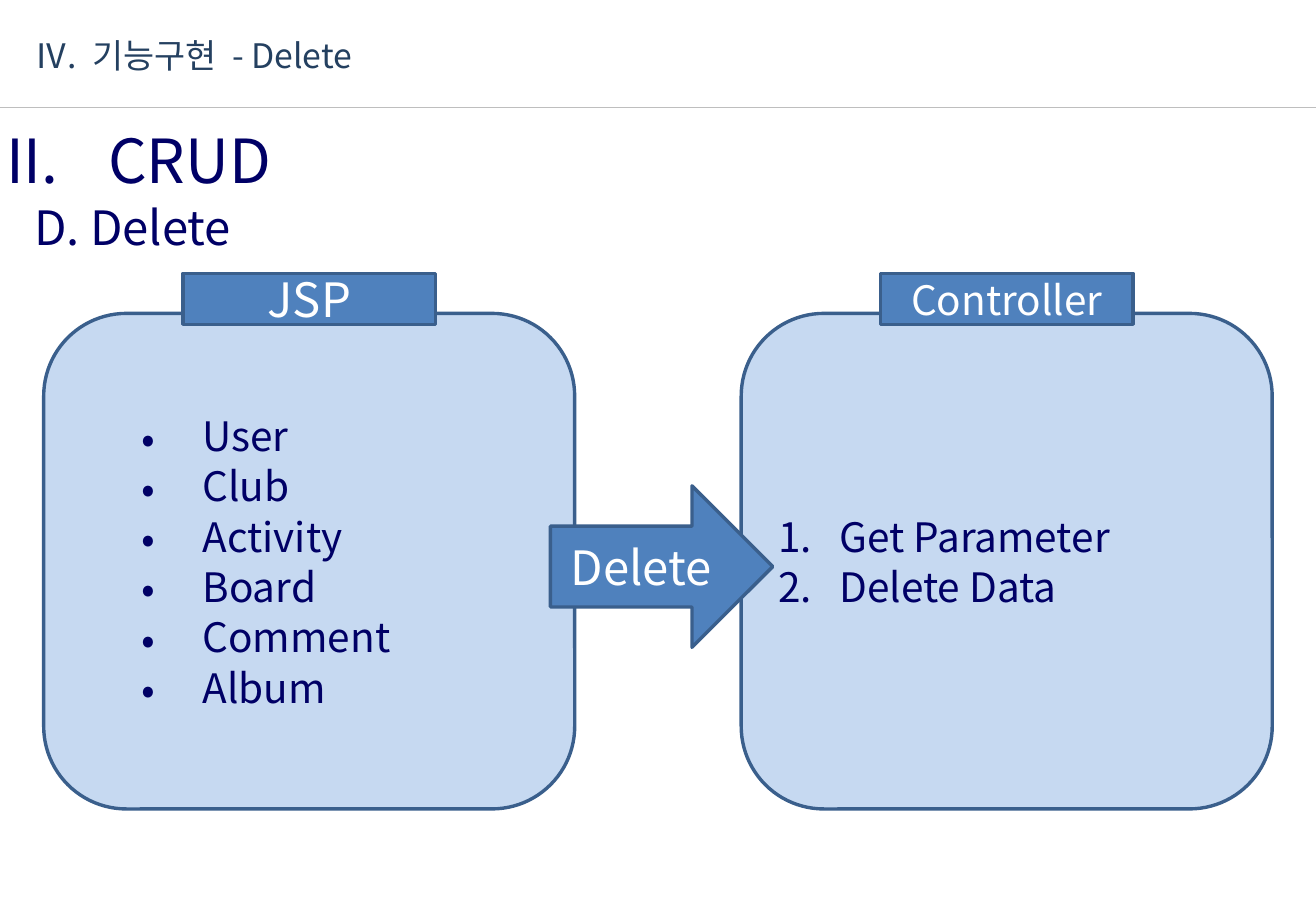
import pptx
import pptx.util
import pptx.dml.color
import pptx.enum.shapes
import pptx.enum.text
import pptx.oxml.ns
from lxml import etree

# Content
TITLE = ("Ⅳ.", " ", "기능구현", " ", "- Delete")
HEADING = "II. \tCRUD"
SUBHEADING = "D. Delete"
ARROW = "Delete"
PANELS = [
    {"label": "JSP", "label_size": 28, "indent": 1.01, "bullet": ("buChar", "char", "•"),
     "items": ["User", "Club", "Activity", "Board", "Comment", "Album"]},
    {"label": "Controller", "label_size": 24, "indent": 0.51,
     "bullet": ("buAutoNum", "type", "arabicPeriod"),
     "items": ["Get Parameter", "Delete Data"]},
]

# Style and grid, in inches
FONT = "Noto Sans CJK KR"
COLORS = {"navy": "000066", "title": "244060", "panel": "C6D9F1", "accent": "4F81BD",
          "edge": "3A5F8C", "rule": "BEBEBE", "white": "FFFFFF"}
WIDTH, HEIGHT = 10.83, 7.5
MARGIN, PANEL_TOP, PANEL_WIDTH, PANEL_HEIGHT = 0.36, 2.58, 4.37, 4.08
PANEL_STEP = WIDTH - 2 * MARGIN - PANEL_WIDTH
LABEL_TOP, LABEL_WIDTH, LABEL_HEIGHT = 2.25, 2.08, 0.42
ARROW_WIDTH, ARROW_HEIGHT = 1.83, 1.33
HANGING, TAB_STOP = 0.5, 0.84

SHAPES = pptx.enum.shapes.MSO_SHAPE
ALIGN = pptx.enum.text.PP_ALIGN
ANCHOR = pptx.enum.text.MSO_ANCHOR
Inches, Pt = pptx.util.Inches, pptx.util.Pt


def color(name):
    return pptx.dml.color.RGBColor.from_string(COLORS[name])


def add_xml(parent, tag, **attributes):
    return etree.SubElement(parent, pptx.oxml.ns.qn("a:" + tag), attributes)


def style(para, size, color_name, align=ALIGN.LEFT):
    para.alignment = align
    para.font.size = Pt(size)
    para.font.name = FONT
    para.font.color.rgb = color(color_name)
    add_xml(para.font._element, "ea", typeface=FONT)


def add_tab(para):
    tabs = add_xml(para._p.get_or_add_pPr(), "tabLst")
    add_xml(tabs, "tab", pos=str(Inches(TAB_STOP)), algn="l")


def set_frame(frame):
    frame.margin_left = frame.margin_right = frame.margin_bottom = 0
    frame.margin_top = Inches(0.01)
    frame.word_wrap = True
    frame.vertical_anchor = ANCHOR.TOP
    frame.auto_size = pptx.enum.text.MSO_AUTO_SIZE.NONE


def add_heading(page, text, size, left, top, width, height):
    box = page.shapes.add_textbox(*map(Inches, (left, top, width, height)))
    set_frame(box.text_frame)
    para = box.text_frame.paragraphs[0]
    para.text = text
    para.space_before = Pt(1)
    add_tab(para)
    style(para, size, "navy")


def add_block(page, kind, fill, left, top, width, height):
    block = page.shapes.add_shape(kind, *map(Inches, (left, top, width, height)))
    block.shadow.inherit = False
    block.fill.solid()
    block.fill.fore_color.rgb = color(fill)
    block.line.color.rgb = color("edge")
    block.line.width = Pt(2)
    block.text_frame.vertical_anchor = ANCHOR.MIDDLE
    return block


def add_caption(block, text, size):
    para = block.text_frame.paragraphs[0]
    para.text = text
    style(para, size, "white", ALIGN.CENTER)


def add_list(block, panel):
    frame = block.text_frame
    tag, key, value = panel["bullet"]
    for index, item in enumerate(panel["items"]):
        para = frame.add_paragraph() if index else frame.paragraphs[0]
        para.text = item
        para.space_before = Pt(1)
        props = para._p.get_or_add_pPr()
        props.set("marL", str(Inches(panel["indent"])))
        props.set("indent", str(-Inches(HANGING)))
        add_xml(props, "buFont", typeface=FONT)
        add_xml(props, tag, **{key: value})
        add_tab(para)
        style(para, 24, "navy")


def main():
    deck = pptx.Presentation()
    deck.slide_width, deck.slide_height = Inches(WIDTH), Inches(HEIGHT)
    page = deck.slides.add_slide(deck.slide_layouts.get_by_name("Title Only"))

    # Title with widened gaps, and the rule below it
    title = page.shapes.title
    title.left, title.top, title.width, title.height = map(Inches, (0.28, 0.28, 3.47, 0.35))
    set_frame(title.text_frame)
    para = title.text_frame.paragraphs[0]
    for part in TITLE:
        span = para.add_run()
        span.text = part
        if part == " ":
            span._r.get_or_add_rPr().set("spc", "450")
    para.space_before = Pt(1)
    style(para, 20, "title")
    rule = page.shapes.add_connector(pptx.enum.shapes.MSO_CONNECTOR.STRAIGHT,
                                     *map(Inches, (0, 0.88, WIDTH, 0.88)))
    rule.line.color.rgb = color("rule")
    rule.line.width = Pt(0.25)
    add_xml(rule._element.spPr, "effectLst")

    # Headings
    add_heading(page, HEADING, 36, 0.05, 1, PANEL_WIDTH, 0.62)
    add_heading(page, SUBHEADING, 28, 0.28, 1.62, 9.68, 0.5)

    # Panels, each with its label on the top edge
    for column, panel in enumerate(PANELS):
        left = MARGIN + column * PANEL_STEP
        block = add_block(page, SHAPES.ROUNDED_RECTANGLE, "panel",
                          left, PANEL_TOP, PANEL_WIDTH, PANEL_HEIGHT)
        add_list(block, panel)
        label = add_block(page, SHAPES.RECTANGLE, "accent",
                          left + (PANEL_WIDTH - LABEL_WIDTH) / 2, LABEL_TOP,
                          LABEL_WIDTH, LABEL_HEIGHT)
        add_caption(label, panel["label"], panel["label_size"])

    # Arrow between the panels
    arrow = add_block(page, SHAPES.RIGHT_ARROW, "accent", 4.53, 4, ARROW_WIDTH, ARROW_HEIGHT)
    add_caption(arrow, ARROW, 28)

    deck.save("out.pptx")


if __name__ == "__main__":
    main()
